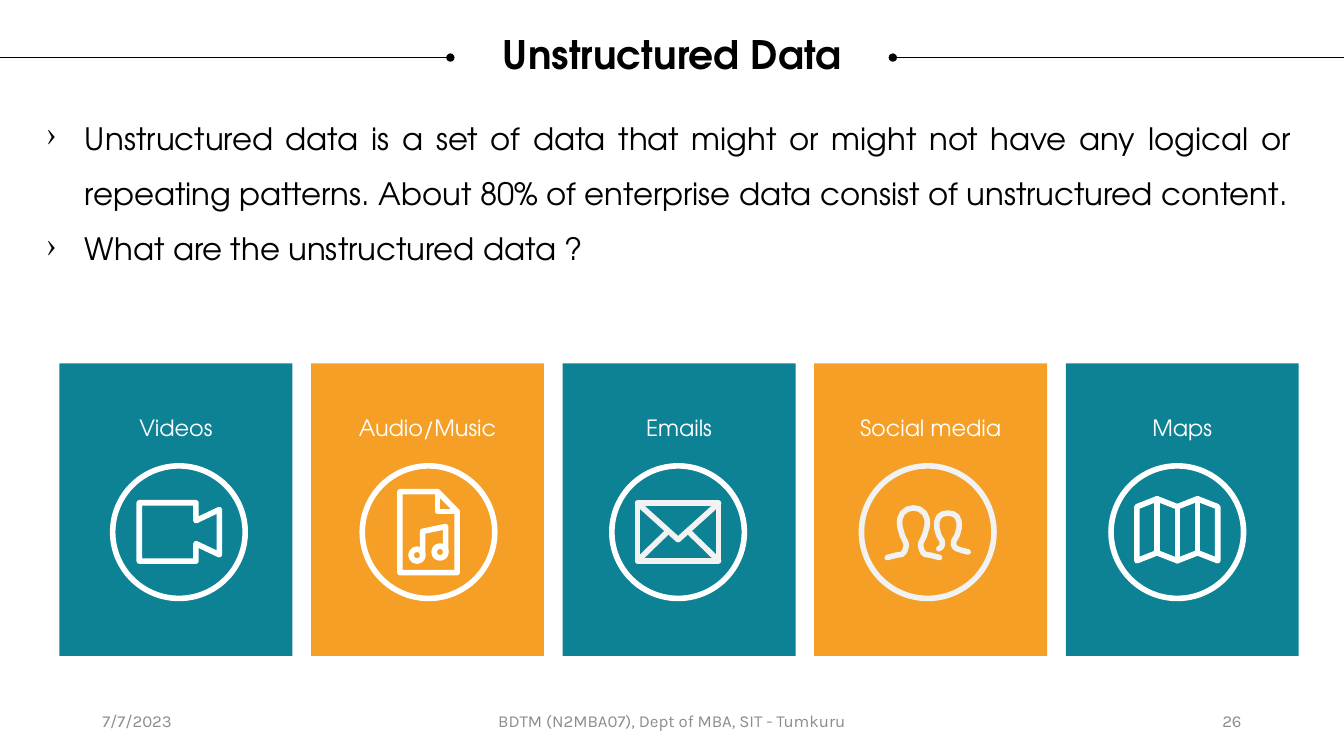
from lxml.etree import SubElement
from pptx import Presentation
from pptx.dml.color import RGBColor
from pptx.enum.shapes import MSO_CONNECTOR, MSO_SHAPE
from pptx.enum.text import MSO_ANCHOR, PP_ALIGN
from pptx.oxml.ns import qn
from pptx.util import Cm, Pt

BLACK, WHITE, PALE, GREY = "000000", "FFFFFF", "F2F2F2", "8C8C8C"
TEAL, ORANGE = "0D8295", "F59F26"
SANS, FOOTER_FONT = "TeX Gyre Adventor", "Karla"


def rgb(value):
    return RGBColor.from_string(value)


def add_text(box, lines, font, align, inset=0, anchor=MSO_ANCHOR.TOP, spacing=None):
    """Add a text box; box is (left, top, width, height) in cm."""
    frame = slide.shapes.add_textbox(*map(Cm, box)).text_frame
    frame.word_wrap = True
    frame.vertical_anchor = anchor
    for side, margin in zip(("left", "right", "top", "bottom"), (inset, inset, inset / 2, inset / 2)):
        setattr(frame, "margin_" + side, Cm(margin))
    for index, line in enumerate(lines):
        paragraph = frame.paragraphs[0] if index == 0 else frame.add_paragraph()
        paragraph.alignment = align
        paragraph.line_spacing = spacing
        run = paragraph.add_run()
        run.text = line
        for name, value in font.items():
            if name == "color":
                run.font.color.rgb = rgb(value)
            else:
                setattr(run.font, name, value)
    return frame


presentation = Presentation()
presentation.slide_width, presentation.slide_height = Cm(33.87), Cm(19.05)
slide = presentation.slides.add_slide(presentation.slide_layouts[6])

# Title between two lines that end in dots
title_font = {"name": SANS, "size": Pt(28), "bold": True, "color": BLACK}
add_text((0.64, 0.89, 32.59, 1.07), ["Unstructured Data"], title_font, PP_ALIGN.CENTER, spacing=0.9)
for edge, dot in ((0, 11.35), (33.87, 22.5)):
    connector = slide.shapes.add_connector(MSO_CONNECTOR.STRAIGHT, Cm(edge), Cm(1.45), Cm(dot), Cm(1.45))
    connector.line.color.rgb = rgb(BLACK)
    connector.line.width = Pt(0.5)
    SubElement(connector.line._get_or_add_ln(), qn("a:tailEnd"), type="oval")
    SubElement(connector._element.spPr, qn("a:effectLst"))

# Bulleted text
body = add_text(
    (1.17, 2.54, 31.37, 6.88),
    ["Unstructured data is a set of data that might or might not have any logical or repeating patterns. "
     "About 80% of enterprise data consist of unstructured content.",
     "What are the unstructured data ?"],
    {"name": SANS, "size": Pt(22), "color": BLACK}, PP_ALIGN.JUSTIFY, spacing=1.5)
for paragraph in body.paragraphs:
    properties = paragraph._p.get_or_add_pPr()
    properties.set("marL", str(Cm(0.97)))
    properties.set("indent", str(-Cm(0.97)))
    SubElement(properties, qn("a:buChar"), char="›")

# Icon strokes: (points in mm from the circle's centre, closed)
video = [([(-10, -7.4), (4.3, -7.4), (4.3, -2.9), (10.2, -5.7),
           (10.2, 5.7), (4.3, 2.9), (4.3, 7.3), (-10, 7.3)], True)]
audio = [([(-7.2, -10.2), (2.3, -10.2), (7.2, -5.2), (7.2, 10.2), (-7.2, 10.2)], True),
         ([(2.3, -10.2), (2.3, -5.2), (7.2, -5.2)], False),
         ([(-1.5, 5.8), (-1.5, -0.2), (4.3, -1.4), (4.3, 5)], False)]
note_heads = [(-2.9, 5.8), (2.9, 5)]
email = [([(-10.2, -7.3), (10.2, -7.3), (10.2, 7.2), (-10.2, 7.2)], True),
         ([(-10.2, -7.3), (0, 1.9), (10.2, -7.3)], False),
         ([(-10.2, 7.2), (-3.1, 0.3)], False),
         ([(10.2, 7.2), (3.1, 0.3)], False)]

front_half = [(-10.2, 6.4), (-7.9, 5.8), (-6.5, 5.6), (-5.9, 5), (-5.6, 4.2), (-5.4, 3.4), (-5.5, 2.7),
              (-6.4, 0.8), (-7, -1.3), (-7.1, -2.4), (-7, -3.4), (-6.4, -4.8), (-5.1, -5.8), (-3.6, -6.1)]
back_half = [(10.2, 5), (8.6, 4.6), (7.4, 4.2), (6.8, 3.8), (6.5, 3.1), (6.6, 2.2), (7.4, 0.8),
             (7.9, -1), (7.9, -2.6), (7.4, -3.9), (6.4, -4.6), (5.1, -4.8)]
front_person = front_half + [(-7.2 - x, y) for x, y in front_half[-2::-1]]
back_person = back_half + [(10.2 - x, y) for x, y in back_half[-2:1:-1]]
people = [(front_person, False), (back_person, False)]

folds = [(-10.2, 0), (-5.1, -2), (0, 0), (5.1, -2), (10.2, 0)]
sheet_top = [(x, -6.4 + shift) for x, shift in folds]
sheet_bottom = [(x, 7.2 + shift) for x, shift in folds]
sheet = [(sheet_top + sheet_bottom[::-1], True)]
sheet += [([upper, lower], False) for upper, lower in zip(sheet_top[1:-1], sheet_bottom[1:-1])]

# Cards: label, fill, circle colour, icon colour, strokes, small rings
cards = [
    ("Videos", TEAL, WHITE, WHITE, video, []),
    ("Audio/Music", ORANGE, WHITE, WHITE, audio, note_heads),
    ("Emails", TEAL, WHITE, PALE, email, []),
    ("Social media", ORANGE, PALE, PALE, people, []),
    ("Maps", TEAL, WHITE, WHITE, sheet, []),
]
card_width, circle_radius, note_radius = 5.87, 1.67, 0.15
label_font = {"name": SANS, "size": Pt(16), "color": WHITE}
for column, (label, fill, circle_color, icon_color, strokes, rings) in enumerate(cards):
    card_left = 1.5 + 6.34 * column
    center_x, center_y = 4.51 + 6.29 * column, 13.41

    card = slide.shapes.add_shape(MSO_SHAPE.RECTANGLE, Cm(card_left), Cm(9.16), Cm(card_width), Cm(7.37))
    card.shadow.inherit = False
    card.fill.solid()
    card.fill.fore_color.rgb = rgb(fill)
    card.line.fill.background()
    add_text((card_left + 0.97, 10.44, 3.93, 0.69), [label], label_font, PP_ALIGN.CENTER)

    outlines = []
    circles = [(0, 0, circle_radius, circle_color)]
    circles += [(x / 10, y / 10, note_radius, icon_color) for x, y in rings]
    for x, y, radius, color in circles:
        circle = slide.shapes.add_shape(
            MSO_SHAPE.OVAL, Cm(center_x + x - radius), Cm(center_y + y - radius), Cm(2 * radius), Cm(2 * radius))
        outlines.append((circle, color))
    for points, closed in strokes:
        places = [(Cm(center_x + x / 10), Cm(center_y + y / 10)) for x, y in points]
        builder = slide.shapes.build_freeform(*places[0])
        builder.add_line_segments(places[1:], close=closed)
        outlines.append((builder.convert_to_shape(), icon_color))
    for shape, color in outlines:
        shape.shadow.inherit = False
        shape.fill.background()
        shape.line.color.rgb = rgb(color)
        shape.line.width = Pt(4)
        line = shape.line._get_or_add_ln()
        line.set("cap", "rnd")
        SubElement(line, qn("a:round"))

# Footer
footer_font = {"name": FOOTER_FONT, "size": Pt(12), "color": GREY}
for left, width, text, align in (
    (2.33, 7.62, "7/7/2023", PP_ALIGN.LEFT),
    (11.22, 11.43, "BDTM (N2MBA07), Dept of MBA, SIT - Tumkuru", PP_ALIGN.CENTER),
    (23.92, 7.62, "26", PP_ALIGN.RIGHT),
):
    add_text((left, 17.66, width, 1.01), [text], footer_font, align, inset=0.25, anchor=MSO_ANCHOR.MIDDLE)

presentation.save("out.pptx")
